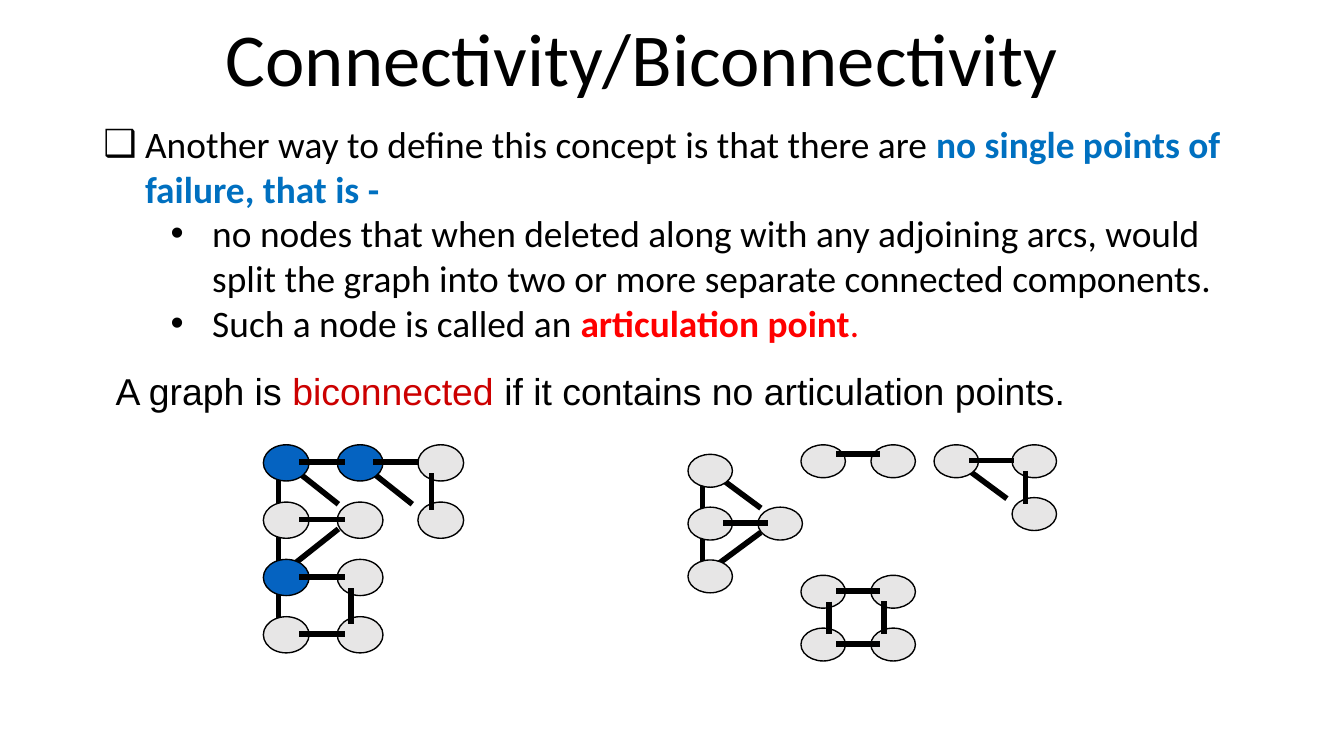
import pptx
import pptx.dml.color
import pptx.enum.shapes
import pptx.enum.text
import pptx.oxml
import pptx.oxml.ns
import pptx.util
from lxml import etree

Pt = pptx.util.Pt
COLORS = {"black": "000000", "blue": "0070C0", "red": "FF0000", "crimson": "CC0000",
          "cut": "0563C1", "node": "E7E6E6"}
FRAME = {"word_wrap": True, "auto_size": pptx.enum.text.MSO_AUTO_SIZE.NONE,
         "vertical_anchor": pptx.enum.text.MSO_ANCHOR.TOP,
         "margin_left": Pt(7.2), "margin_right": Pt(7.2),
         "margin_top": Pt(3.6), "margin_bottom": Pt(3.6)}

# Start and reach of each kind of edge, in node widths and heights
EDGES = {"right": (0.79, 0.48, 1, 0), "high": (0.79, 0.29, 1, 0),
         "down": (0.3, 0.79, 0, 1), "skew": (0.63, 0.8, 0, 1),
         "fall": (0.64, 0.64, 1, 1), "rise": (0.64, 0.16, 1, -1),
         "trunk3": (0.33, 0.8, 0, 3), "trunk4": (0.33, 0.78, 0, 4)}


def color(name):
    return pptx.dml.color.RGBColor.from_string(COLORS[name])


def assign(target, values):
    for name, value in values.items():
        setattr(target, name, value)


class Page:
    def __init__(self, slide, font):
        self.slide = slide
        self.font = font

    def text(self, index, box, paras, font=None):
        """Fill a placeholder; each paragraph is (format, bullet, runs)."""
        holder = self.slide.placeholders[index]
        assign(holder, dict(zip(("left", "top", "width", "height"), map(Pt, box))))
        frame = holder.text_frame
        assign(frame, FRAME)
        for i, (form, bullet, runs) in enumerate(paras):
            para = frame.add_paragraph() if i else frame.paragraphs[0]
            para.alignment = pptx.enum.text.PP_ALIGN.LEFT
            assign(para, form)
            self.bullet(para, bullet)
            for words, tint, size, bold in runs:
                run = para.add_run()
                run.text = words
                assign(run.font, {"name": font or self.font, "size": Pt(size), "bold": bold})
                run.font.color.rgb = color(tint)

    def bullet(self, para, bullet):
        props = para._p.get_or_add_pPr()
        qn = pptx.oxml.ns.qn
        if not bullet:
            props.set("marL", "0")
            props.set("indent", "0")
            etree.SubElement(props, qn("a:buNone"))
            return
        char, indent = bullet
        props.set("marL", str(Pt(indent)))
        props.set("indent", str(-Pt(22.3)))
        etree.SubElement(props, qn("a:buFont")).set("typeface", "Arial")
        etree.SubElement(props, qn("a:buChar")).set("char", char)

    def node(self, group, spot, size, tint):
        oval = group.shapes.add_shape(pptx.enum.shapes.MSO_SHAPE.OVAL, *map(Pt, spot + size))
        oval.shadow.inherit = False
        oval.fill.solid()
        oval.fill.fore_color.rgb = color(tint)
        oval.line.color.rgb = color("black")
        oval.line.width = Pt(0.75)

    def edge(self, group, spot, size, kind):
        (x, y), (wide, high) = spot, size
        dx, dy, across, down = EDGES[kind]
        x, y = x + dx * wide, y + dy * high
        line = group.shapes.add_connector(
            pptx.enum.shapes.MSO_CONNECTOR.STRAIGHT,
            Pt(x), Pt(y), Pt(x + across * wide), Pt(y + down * high))
        line.line.color.rgb = color("black")
        line.line.width = Pt(3)
        etree.SubElement(line._element.spPr, pptx.oxml.ns.qn("a:effectLst"))

    def graph(self, nodes, size, back, front, cuts=""):
        """Draw back edges, nodes, then front edges; cuts names the blue nodes."""
        group = self.slide.shapes.add_group_shape()
        for name, kind in back:
            self.edge(group, nodes[name], size, kind)
        for name, spot in nodes.items():
            self.node(group, spot, size, "cut" if name in cuts else "node")
        for name, kind in front:
            self.edge(group, nodes[name], size, kind)


def main():
    deck = pptx.Presentation()
    deck.slide_width, deck.slide_height = Pt(720), Pt(405)
    page = Page(deck.slides.add_slide(deck.slide_layouts[3]), "Calibri")

    flat = {"space_before": Pt(0)}
    sub = {"level": 1, **flat}
    page.text(0, (113.8, 2.9, 468, 41.8),
              [(flat, None, [("Connectivity/Biconnectivity", "black", 40, False)])])
    page.text(1, (48.2, 61.2, 613.4, 96.5), [
        (flat, ("❑", 22.3), [
            ("Another way to define this concept is that there are ", "black", 20, False),
            ("no single points of failure, that is -", "blue", 20, True)]),
        (sub, ("•", 58.3), [
            ("no nodes that when deleted along with any adjoining arcs, would split "
             "the graph into two or more separate connected components.",
             "black", 20, False)]),
        (sub, ("•", 58.3), [
            ("Such a node is called an ", "black", 20, False),
            ("articulation point", "red", 20, True),
            (".", "red", 20, False)])])
    page.text(2, (54.7, 193.7, 577.4, 41.8), [
        ({"space_before": Pt(4)}, None, [
            ("A graph is ", "black", 20, False),
            ("biconnected", "crimson", 20, False),
            (" if it contains no articulation points.", "black", 20, False)])], "Arial")

    # Whole graph: nodes lettered row by row on a grid
    cols, top, step = (141.1, 180.7, 223.9), 238.3, 30.7
    rows = ("ABC", "DEF", "GH", "IJ")
    whole = {name: (x, top + step * i)
             for i, row in enumerate(rows) for name, x in zip(row, cols)}
    page.graph(whole, (24.5, 19.4),
               [("G", "rise"), ("A", "fall"), ("A", "trunk4"), ("B", "fall")],
               [(name, "right") for name in "ABDGI"] + [("C", "down"), ("H", "down")],
               cuts="ABG")

    # Split graph: the biconnected parts drawn apart
    step = 28.3
    left, pair = 368.6, (429.1, 466.6)
    parts = {"A": (left, 243.4), "D": (left, 243.4 + step), "G": (left, 243.4 + 2 * step),
             "E": (406.1, 243.4 + step),
             "a": (pair[0], top), "b": (pair[1], top),
             "B": (500.4, top), "C": (542.2, top), "F": (542.2, top + step),
             "g": (pair[0], 308.2), "H": (pair[1], 308.2),
             "I": (pair[0], 308.2 + step), "J": (pair[1], 308.2 + step)}
    page.graph(parts, (23.8, 17.6),
               [("G", "rise"), ("A", "fall"), ("A", "trunk3"), ("B", "fall")],
               [(name, "right") for name in "BDgI"]
               + [("C", "down"), ("H", "down"), ("a", "high"), ("g", "skew")])

    deck.save("out.pptx")


if __name__ == "__main__":
    main()
